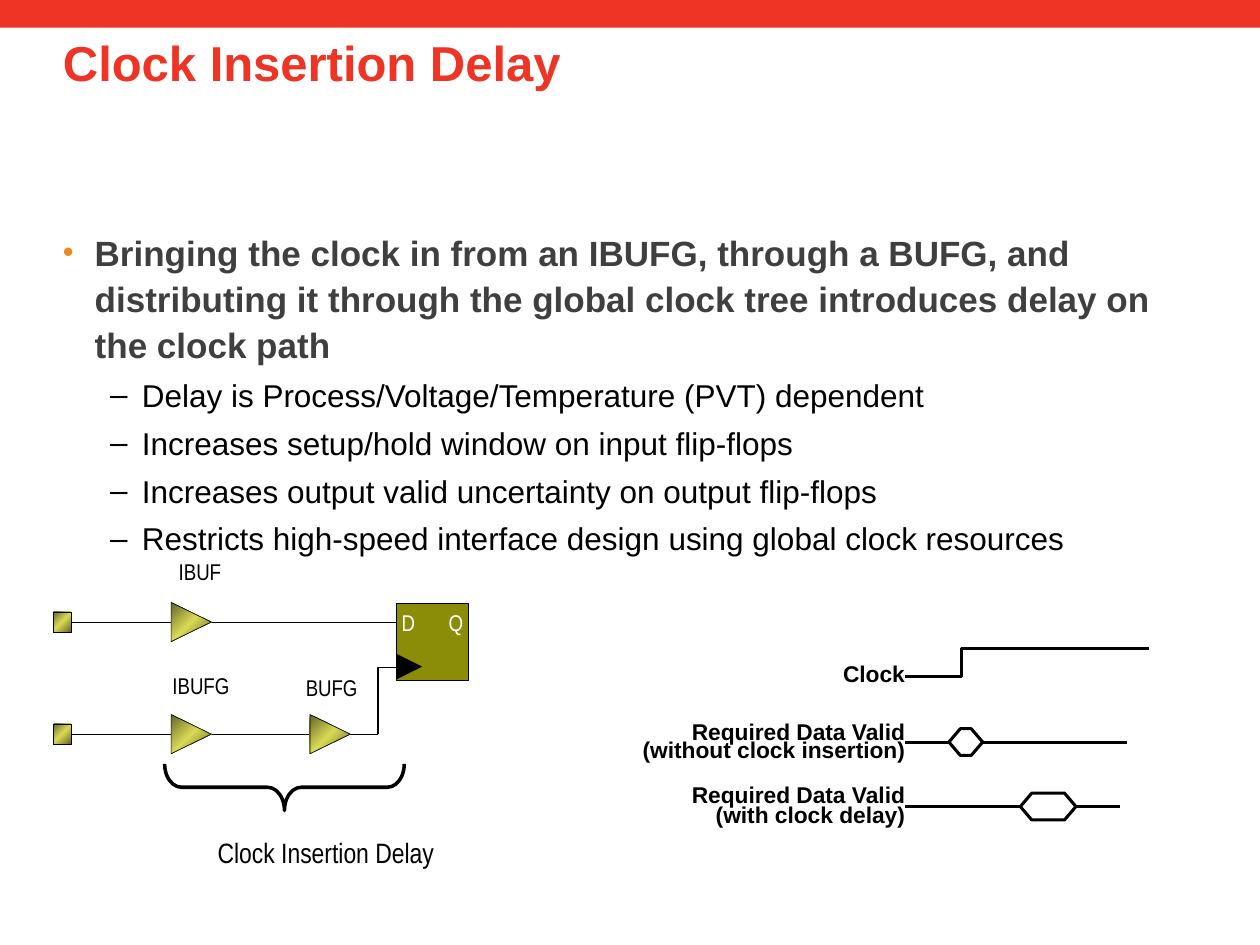
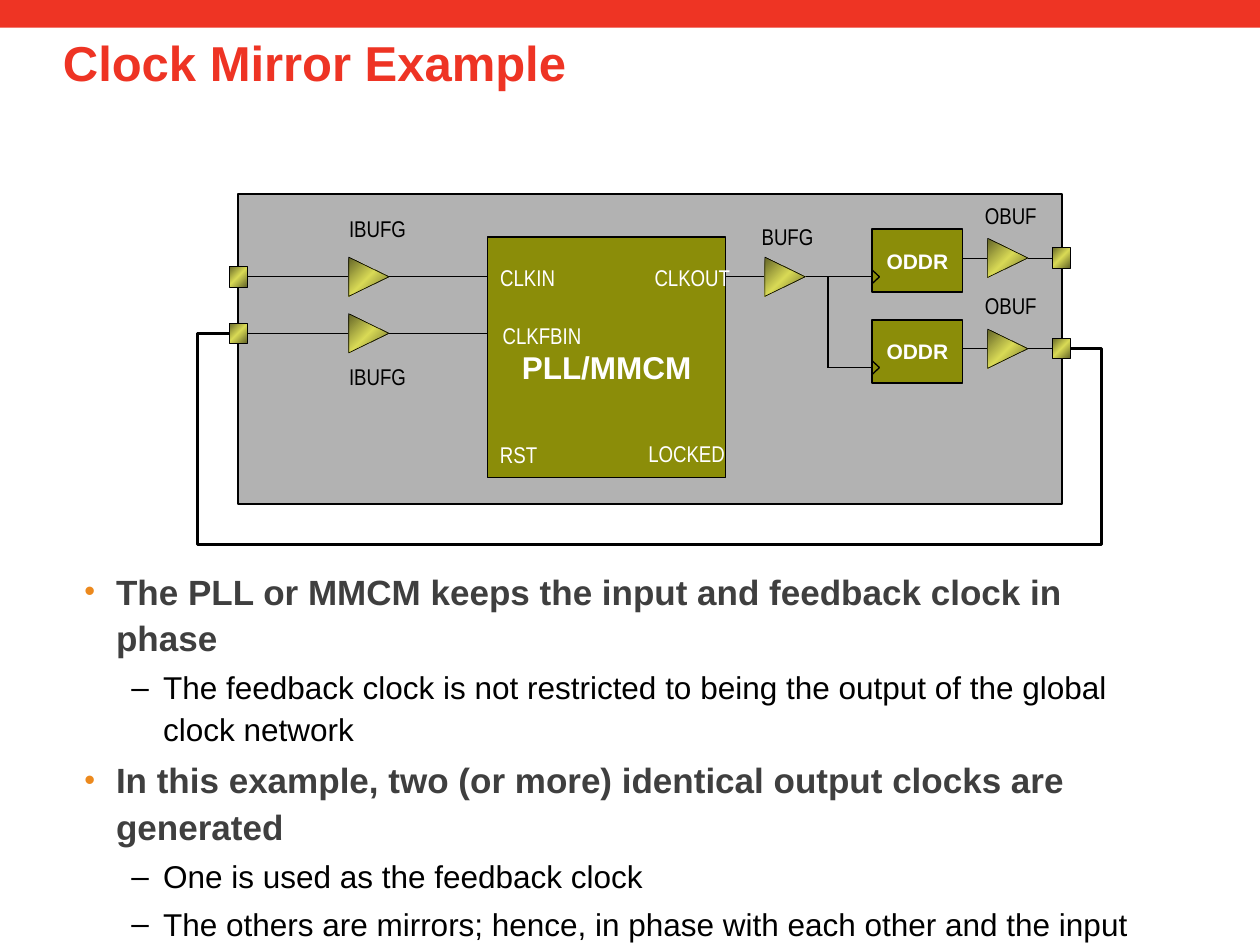
from copy import deepcopy

from lxml.etree import SubElement
from pptx import Presentation
from pptx.dml.color import RGBColor
from pptx.enum.shapes import MSO_CONNECTOR as Link, MSO_SHAPE as Preset
from pptx.enum.text import MSO_ANCHOR as Anchor, MSO_AUTO_SIZE as Fit, PP_ALIGN as Align
from pptx.oxml.ns import qn
from pptx.util import Cm, Pt

COLORS = {
    "brand": "EE3424", "heading": "3F3F3F", "bullet": "EC891D", "ink": "000000",
    "paper": "FFFFFF", "logic": "8B8D09", "chip": "B2B2B2",
    "shade": "646528", "glow": "D9DA56",
}
FORMATS = {
    "title": {"name": "Arial", "size": Pt(28), "bold": True},
    "topic": {"name": "Arial", "size": Pt(20), "bold": True},
    "point": {"name": "Arial", "size": Pt(18), "bold": False},
    "signal": {"name": "Arial", "size": Pt(13), "bold": True},
    "pin": {"name": "Arial Narrow", "size": Pt(13)},
    "caption": {"name": "Arial Narrow", "size": Pt(16)},
    "block": {"name": "Arial", "size": Pt(12), "bold": True},
    "core": {"name": "Arial", "size": Pt(18), "bold": True},
}
# level: (format, text colour, bullet colour, bullet sign, left margin, bullet size)
LEVELS = [
    ("topic", "heading", "bullet", "•", 0.64, 88),
    ("point", "ink", "ink", "–", 1.59, 100),
]
LEFT, RIGHT = 1, 3
BUFFER_WIDTH, BUFFER_HEIGHT = 0.81, 0.79
PAD_WIDTH, PAD_HEIGHT = 0.36, 0.41
HAIR, THIN, BOLD = 0.38, 0.75, 1.75


def rgb(color):
    return RGBColor.from_string(COLORS[color])


class ClockDeck:
    """Holds the deck, its style and the slide being drawn."""

    def __init__(self):
        self.deck = Presentation()
        self.deck.slide_width, self.deck.slide_height = Cm(25.4), Cm(19.05)
        self.shapes = None

    def new_page(self, title):
        page = self.deck.slides.add_slide(self.deck.slide_layouts[6])
        self.shapes = page.shapes
        self.block(0, 0, 25.4, 0.56, "brand", line=None)
        para = self.text_area(1.27, 0.58, 22.86, 3.18).paragraphs[0]
        para.line_spacing = 0.98
        self.add_span(para, title, "title", "brand")

    def paint(self, shape, fill=None, line="ink", width=HAIR):
        shape.shadow.inherit = False
        if fill == "gradient":
            self.shine(shape)
        elif fill:
            shape.fill.solid()
            shape.fill.fore_color.rgb = rgb(fill)
        else:
            shape.fill.background()
        if line:
            shape.line.color.rgb = rgb(line)
            shape.line.width = Pt(width)
        else:
            shape.line.fill.background()
        return shape

    def shine(self, shape):
        """Diagonal gradient, dark at both ends and light in the middle."""
        shape.fill.gradient()
        shape.fill.gradient_angle = 315
        stops = shape._element.spPr.find(qn("a:gradFill")).find(qn("a:gsLst"))
        stops.append(deepcopy(stops[0]))
        looks = ((0, "shade"), (0.5, "glow"), (1, "shade"))
        for stop, (position, color) in zip(shape.fill.gradient_stops, looks):
            stop.position = position
            stop.color.rgb = rgb(color)

    def add_span(self, para, text, style, color, align=Align.LEFT):
        para.alignment = align
        span = para.add_run()
        span.text = text
        for name, value in FORMATS[style].items():
            setattr(span.font, name, value)
        span.font.color.rgb = rgb(color)

    def frame(self, box, margins, wrap, fit=Fit.NONE, anchor=Anchor.TOP):
        left, top, right, bottom = map(Cm, margins)
        settings = {
            "margin_left": left, "margin_top": top, "margin_right": right,
            "margin_bottom": bottom, "word_wrap": wrap, "auto_size": fit,
            "vertical_anchor": anchor,
        }
        for name, value in settings.items():
            setattr(box.text_frame, name, value)
        return box.text_frame

    def text_area(self, x, y, width, height):
        box = self.shapes.add_textbox(Cm(x), Cm(y), Cm(width), Cm(height))
        return self.frame(box, (0, 0.13, 0.25, 0.13), True)

    def bullets(self, x, y, width, height, items):
        area = self.text_area(x, y, width, height)
        for index, (level, text) in enumerate(items):
            style, color, sign_color, sign, margin, percent = LEVELS[level]
            para = area.add_paragraph() if index else area.paragraphs[0]
            para.level = level
            para.line_spacing = 1.1
            para.space_before = Pt(0.2 * FORMATS[style]["size"].pt)
            self.add_span(para, text, style, color)
            props = para._p.get_or_add_pPr()
            props.set("marL", str(Cm(margin)))
            props.set("indent", str(-Cm(0.64)))
            paint = SubElement(props, qn("a:buClr"))
            SubElement(paint, qn("a:srgbClr"), val=COLORS[sign_color])
            SubElement(props, qn("a:buSzPct"), val=str(percent * 1000))
            SubElement(props, qn("a:buFont"), typeface="Arial")
            SubElement(props, qn("a:buChar"), char=sign)

    def label(self, text, x, y, width, color="ink", style="pin", height=0.56):
        box = self.shapes.add_textbox(Cm(x), Cm(y), Cm(width), Cm(height))
        area = self.frame(box, (0, 0, 0, 0), False, Fit.SHAPE_TO_FIT_TEXT)
        self.add_span(area.paragraphs[0], text, style, color, Align.CENTER)

    def block(self, x, y, width, height, fill="logic", line="ink", text=None,
              style="block", top_margin=0.13):
        box = self.shapes.add_shape(Preset.RECTANGLE, Cm(x), Cm(y), Cm(width), Cm(height))
        self.paint(box, fill, line, THIN)
        if text:
            area = self.frame(box, (0.25, top_margin, 0.25, 0.13), True, anchor=Anchor.MIDDLE)
            self.add_span(area.paragraphs[0], text, style, "paper", Align.CENTER)
        return box

    def pad(self, x, middle):
        box = self.shapes.add_shape(Preset.RECTANGLE, Cm(x), Cm(middle - PAD_HEIGHT / 2),
                                    Cm(PAD_WIDTH), Cm(PAD_HEIGHT))
        return self.paint(box, "gradient")

    def outline(self, points, fill=None, line="ink", width=HAIR, close=False):
        points = [(Cm(x), Cm(y)) for x, y in points]
        builder = self.shapes.build_freeform(*points[0], scale=1.0)
        builder.add_line_segments(points[1:], close=close)
        return self.paint(builder.convert_to_shape(), fill, line, width)

    def triangle(self, x, middle, width=BUFFER_WIDTH, height=BUFFER_HEIGHT,
                 fill="gradient", line="ink"):
        half = height / 2
        corners = [(x, middle - half), (x, middle + half), (x + width, middle)]
        self.outline(corners, fill, line, close=True)

    def wire(self, x1, y1, x2, y2, width=HAIR, begin=None, end=None):
        """Straight line; begin and end may be (rectangle, side) to join."""
        line = self.shapes.add_connector(Link.STRAIGHT, Cm(x1), Cm(y1), Cm(x2), Cm(y2))
        line.line.color.rgb = rgb("ink")
        line.line.width = Pt(width)
        SubElement(line._element.spPr, qn("a:effectLst"))
        if begin:
            line.begin_connect(*begin)
        if end:
            line.end_connect(*end)

    def input_wire(self, x, middle, end, width=HAIR):
        pad = self.pad(x, middle)
        self.wire(x + PAD_WIDTH, middle, end, middle, width, begin=(pad, RIGHT))

    def brace_below(self, x, y, width, height):
        # The preset opens sideways, so it is placed upright and turned.
        left, top = x + (width - height) / 2, y - (width - height) / 2
        brace = self.shapes.add_shape(Preset.LEFT_BRACE, Cm(left), Cm(top), Cm(height), Cm(width))
        brace.rotation = 270
        brace.adjustments[0], brace.adjustments[1] = 0.36, 0.5
        self.paint(brace, width=2)

    def data_valid(self, start, middle, left, right, end):
        """Timing trace with a six-sided valid window from left to right."""
        slant, half = 0.23, 0.27
        self.wire(start, middle, left, middle, BOLD)
        self.outline([(left, middle), (left + slant, middle - half),
                      (right - slant, middle - half), (right, middle),
                      (right - slant, middle + half), (left + slant, middle + half)],
                     width=BOLD, close=True)
        self.wire(right, middle, end, middle, BOLD)

    def trace_names(self, x, y, width, height, rows):
        box = self.block(x, y, width, height, "paper", line=None)
        area = self.frame(box, (0, 0, 0, 0), False, Fit.SHAPE_TO_FIT_TEXT)
        for index, (text, spacing) in enumerate(rows):
            para = area.add_paragraph() if index else area.paragraphs[0]
            para.line_spacing = spacing
            self.add_span(para, text, "signal", "ink", Align.RIGHT)


def insertion_delay(deck):
    deck.new_page("Clock Insertion Delay")
    deck.bullets(1.27, 4.45, 22.86, 11.86, [
        (0, "Bringing the clock in from an IBUFG, through a BUFG, and distributing it "
            "through the global clock tree introduces delay on the clock path"),
        (1, "Delay is Process/Voltage/Temperature (PVT) dependent"),
        (1, "Increases setup/hold window on input flip-flops"),
        (1, "Increases output valid uncertainty on output flip-flops"),
        (1, "Restricts high-speed interface design using global clock resources"),
    ])

    trace_start = 18.24
    deck.trace_names(11.84, 13.31, 6.4, 3.35, [
        ("Clock", 1.0), ("Required Data Valid", 2.1), ("(without clock insertion)", 0.6),
        ("Required Data Valid", 1.7), ("(with clock delay)", 0.7),
    ])
    deck.outline([(trace_start, 13.64), (19.38, 13.64), (19.38, 13.08), (23.16, 13.08)],
                 width=BOLD)
    deck.data_valid(trace_start, 14.96, 19.13, 19.81, 22.71)
    deck.data_valid(trace_start, 16.26, 20.57, 21.69, 22.58)

    data_row, clock_row, riser, flop = 12.54, 14.8, 7.62, 8.0
    deck.input_wire(1.07, data_row, flop)
    deck.input_wire(1.07, clock_row, riser)
    for x, row in ((3.45, data_row), (3.45, clock_row), (6.25, clock_row)):
        deck.triangle(x, row)
    deck.block(flop, 12.17, 1.45, 1.55)
    deck.triangle(flop, 13.44, 0.51, 0.51, "ink", None)
    deck.outline([(riser, clock_row), (riser, 13.46), (flop, 13.46)], width=THIN)
    deck.label("IBUF", 3.51, 11.25, 1.04)
    deck.label("IBUFG", 3.35, 13.54, 1.4)
    deck.label("BUFG", 6.05, 13.59, 1.27)
    deck.label("D", 8.08, 12.27, 0.3, "paper")
    deck.label("Q", 9.04, 12.27, 0.3, "paper")
    deck.brace_below(3.32, 15.4, 4.83, 0.94)
    deck.label("Clock Insertion Delay", 3.56, 16.84, 6.02, style="caption", height=0.69)


def clock_mirror(deck):
    deck.new_page("Clock Mirror Example")
    deck.block(4.8, 3.91, 16.61, 6.25, "chip")

    clock_row, feedback_row, pads_left, core_left = 5.58, 6.72, 4.62, 9.83
    for row in (clock_row, feedback_row):
        deck.input_wire(pads_left, row, core_left, THIN)
        deck.triangle(7.03, row)
    deck.block(core_left, 4.78, 4.8, 4.85, text="PLL/MMCM", style="core", top_margin=0.53)

    oddr_left, branch, pitch = 17.58, 16.69, 1.83
    deck.wire(14.63, clock_row, oddr_left, clock_row, THIN)
    deck.wire(branch, clock_row, branch, clock_row + pitch, THIN)
    deck.wire(branch, clock_row + pitch, oddr_left, clock_row + pitch, THIN)
    deck.triangle(15.42, clock_row)

    output_row, output_pads = 5.2, 21.21
    for offset in (0, pitch):
        row, tip = output_row + offset, clock_row + offset
        deck.block(oddr_left, 4.62 + offset, 1.83, 1.27, text="ODDR")
        pad = deck.pad(output_pads, row)
        deck.wire(oddr_left + 1.83, row, output_pads, row, end=(pad, LEFT))
        deck.triangle(19.91, row)
        deck.label("OBUF", 19.74, 4.06 + offset, 1.27)
        for edge in (tip - 0.14, tip + 0.14):
            deck.wire(oddr_left, edge, oddr_left + 0.15, tip, THIN)

    return_row, bottom, left, right = output_row + pitch, 10.97, 3.99, 22.2
    deck.outline([(pads_left, feedback_row), (left, feedback_row), (left, bottom),
                  (right, bottom), (right, return_row),
                  (output_pads + PAD_WIDTH, return_row)], width=BOLD)

    for text, x, y, width in (("IBUFG", 6.91, 4.32, 1.4), ("IBUFG", 6.91, 7.32, 1.4),
                              ("BUFG", 15.24, 4.5, 1.27)):
        deck.label(text, x, y, width)
    for text, x, y, width in (("CLKIN", 9.96, 5.31, 1.35), ("CLKFBIN", 9.96, 6.48, 1.93),
                              ("RST", 10.01, 8.89, 0.89), ("CLKOUT", 13.03, 5.31, 1.85),
                              ("LOCKED", 12.9, 8.86, 1.88)):
        deck.label(text, x, y, width, "paper")

    deck.bullets(1.7, 11.28, 22.02, 6.58, [
        (0, "The PLL or MMCM keeps the input and feedback clock in phase"),
        (1, "The feedback clock is not restricted to being the output of the global "
            "clock network"),
        (0, "In this example, two (or more) identical output clocks are generated"),
        (1, "One is used as the feedback clock"),
        (1, "The others are mirrors; hence, in phase with each other and the input clock"),
    ])


def main():
    clock_deck = ClockDeck()
    insertion_delay(clock_deck)
    clock_mirror(clock_deck)
    clock_deck.deck.save("out.pptx")


if __name__ == "__main__":
    main()
